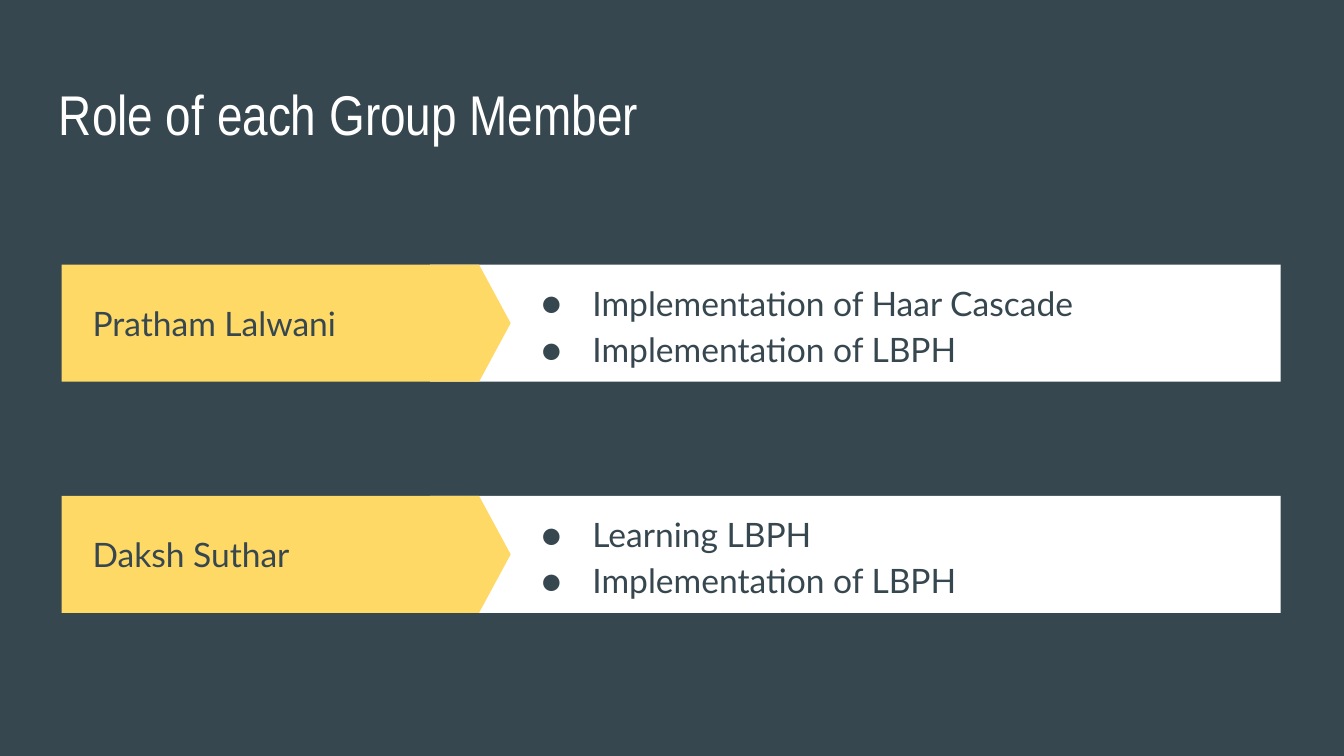
from lxml.etree import SubElement
from pptx import Presentation
from pptx.dml.color import RGBColor
from pptx.enum.shapes import MSO_SHAPE
from pptx.enum.text import MSO_ANCHOR
from pptx.oxml.ns import qn
from pptx.util import Inches, Pt

SLATE = RGBColor(0x37, 0x47, 0x4F)
YELLOW = RGBColor(0xFF, 0xD9, 0x66)
WHITE = RGBColor(0xFF, 0xFF, 0xFF)

ROW_HEIGHT = 0.87
FIRST_ROW_TOP = 1.97
ROW_STEP = 1.72

MEMBERS = [
    ("Pratham Lalwani", ["Implementation of Haar Cascade", "Implementation of LBPH"]),
    ("Daksh Suthar", ["Learning LBPH", "Implementation of LBPH"]),
]


class RolePage:
    title_font = "Arial Narrow"
    body_font = "Lato"
    title_size = 30
    body_size = 18

    def __init__(self, deck):
        self.page = deck.slides.add_slide(deck.slide_layouts[6])
        self.page.background.fill.solid()
        self.page.background.fill.fore_color.rgb = SLATE

    def add_title(self, text):
        frame = self.add_frame(0.34, 0.49, 9.32, 0.63, MSO_ANCHOR.TOP)
        self.add_span(frame.paragraphs[0], text, self.title_font, self.title_size, WHITE)

    def add_member(self, top, name, roles):
        self.add_band(top)
        frame = self.add_frame(0.59, top, 2.65, ROW_HEIGHT)
        self.add_span(frame.paragraphs[0], name, self.body_font, self.body_size, SLATE)
        self.add_bullets(self.add_frame(3.81, top, 5.59, ROW_HEIGHT), roles)

    def add_band(self, top):
        """Group a white bar with the yellow name tag that points into it."""
        shapes = self.page.shapes.add_group_shape().shapes
        self.add_block(shapes, MSO_SHAPE.RECTANGLE, 3.2, top, 6.33, WHITE)
        tag = self.add_block(shapes, MSO_SHAPE.PENTAGON, 0.46, top, 3.34, YELLOW)
        tag.adjustments[0] = 0.27

    def add_block(self, shapes, kind, left, top, width, color):
        block = shapes.add_shape(
            kind, Inches(left), Inches(top), Inches(width), Inches(ROW_HEIGHT))
        block.shadow.inherit = False
        block.fill.solid()
        block.fill.fore_color.rgb = color
        block.line.fill.background()
        return block

    def add_frame(self, left, top, width, height, anchor=MSO_ANCHOR.MIDDLE):
        box = self.page.shapes.add_textbox(
            Inches(left), Inches(top), Inches(width), Inches(height))
        frame = box.text_frame
        frame.word_wrap = True
        frame.vertical_anchor = anchor
        frame.margin_left = frame.margin_right = Inches(0.1)
        frame.margin_top = frame.margin_bottom = Inches(0.1)
        return frame

    def add_bullets(self, frame, items):
        for index, item in enumerate(items):
            para = frame.add_paragraph() if index else frame.paragraphs[0]
            para.line_spacing = 1.15
            properties = para._p.get_or_add_pPr()
            properties.set("marL", str(Inches(0.5)))
            properties.set("indent", str(Inches(-0.38)))
            bullet_color = SubElement(properties, qn("a:buClr"))
            SubElement(bullet_color, qn("a:srgbClr"), val=str(SLATE))
            SubElement(properties, qn("a:buFont"), typeface=self.body_font)
            SubElement(properties, qn("a:buChar"), char="●")
            self.add_span(para, item, self.body_font, self.body_size, SLATE)

    def add_span(self, para, text, font, size, color):
        span = para.add_run()
        span.text = text
        span.font.name = font
        span.font.size = Pt(size)
        span.font.color.rgb = color


def main():
    deck = Presentation()
    deck.slide_width = Inches(10)
    deck.slide_height = deck.slide_width * 9 // 16
    page = RolePage(deck)
    page.add_title("Role of each Group Member")
    for row, (name, roles) in enumerate(MEMBERS):
        page.add_member(FIRST_ROW_TOP + row * ROW_STEP, name, roles)
    deck.save("out.pptx")


if __name__ == "__main__":
    main()
